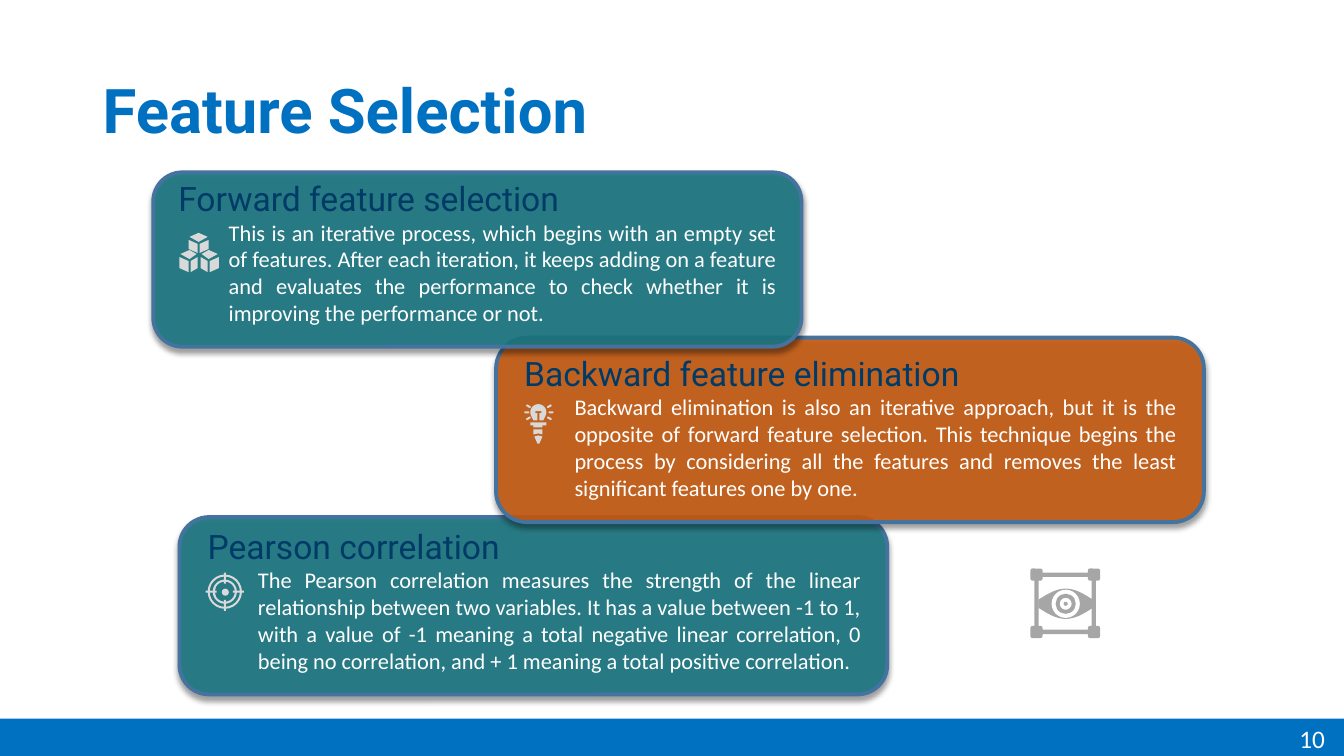
"""Build the Feature Selection slide."""
from math import cos, pi, radians, sin
from lxml import etree
from pptx import Presentation, util as u
from pptx.dml.color import RGBColor
from pptx.enum import shapes, text
from pptx.oxml import ns

form = shapes.MSO_SHAPE
side = text.PP_ALIGN
deck = Presentation()
deck.slide_width, deck.slide_height = u.Inches(13.33), u.Inches(7.5)
slide = deck.slides.add_slide(deck.slide_layouts[6])
tree = slide.shapes


def draw(kind, box, hue, alpha=None, card=False):
    """Add a preset shape in a box, or an outline when kind is a list of points."""
    if isinstance(kind, list):
        dots = [(u.Inches(x), u.Inches(y)) for x, y in kind]
        path = tree.build_freeform(*dots[0])
        path.add_line_segments(dots[1:])
        item = path.convert_to_shape()
    else:
        item = tree.add_shape(kind, *map(u.Inches, box))
    item.shadow.inherit = False
    item.fill.solid()
    item.fill.fore_color.rgb = RGBColor.from_string(hue)
    item.line.fill.background()
    props = item._element.spPr
    if alpha:
        tint = props.find(ns.qn("a:solidFill"))[0]
        etree.SubElement(tint, ns.qn("a:alpha"), val=str(alpha * 1000))
    if card:
        item.line.color.rgb = RGBColor.from_string("43739E")
        item.line.width = u.Pt(2.75)
        glow = etree.SubElement(props.find(ns.qn("a:effectLst")), ns.qn("a:outerShdw"),
                                blurRad=str(u.Pt(4)), dist=str(u.Pt(3)), dir="5400000",
                                algn="t", rotWithShape="0")
        black = etree.SubElement(glow, ns.qn("a:srgbClr"), val="000000")
        etree.SubElement(black, ns.qn("a:alpha"), val="40000")
    return item


def write(words, box=None, frame=None, size=16, font="Calibri", hue="FFFFFF",
          bold=False, align=side.JUSTIFY, space=None, indent=0):
    """Write a paragraph in a new box, or add it to a given frame."""
    if frame is None:
        frame = tree.add_textbox(*map(u.Inches, box)).text_frame
        frame.word_wrap = True
        para = frame.paragraphs[0]
    else:
        para = frame.add_paragraph()
    para.alignment = align
    para.line_spacing = space
    if indent:
        para.level = 1
        props = para._p.get_or_add_pPr()
        props.set("marL", str(u.Inches(indent)))
        props.set("indent", "0")
    run = para.add_run()
    run.text = words
    run.font.size, run.font.name, run.font.bold = u.Pt(size), font, bold
    run.font.color.rgb = RGBColor.from_string(hue)
    return frame


title = write("Feature Selection", (0.92, 0.4, 11.5, 1.45), size=44, font="Roboto",
              hue="0070C0", bold=True, align=side.LEFT, space=0.9)
title.vertical_anchor = text.MSO_ANCHOR.MIDDLE
draw(form.RECTANGLE, (0, 7.13, 13.33, 0.37), "0070C0")
write("10", (12.73, 7.13, 0.51, 0.4), size=18, align=side.RIGHT)

cards = [
    ("Pearson correlation",
     "The Pearson correlation measures the strength of the linear relationship between "
     "two variables. It has a value between -1 to 1, with a value of -1 meaning a total "
     "negative linear correlation, 0 being no correlation, and + 1 meaning a total "
     "positive correlation.",
     (1.78, 5.13, 7.02, 1.76), (1.96, 5.17, 6.68, 1.58), "1A7680"),
    ("Backward feature elimination",
     "Backward elimination is also an iterative approach, but it is the opposite of "
     "forward feature selection. This technique begins the process by considering all "
     "the features and removes the least significant features one by one.",
     (4.92, 3.35, 7.02, 1.83), (5.1, 3.45, 6.67, 1.58), "C55A11"),
    ("Forward feature selection",
     "This is an iterative process, which begins with an empty set of features. After "
     "each iteration, it keeps adding on a feature and evaluates the performance to "
     "check whether it is improving the performance or not.",
     (1.52, 1.71, 6.43, 1.73), (1.67, 1.72, 6.13, 1.58), "1A7680"),
]
for head, body, box, area, hue in cards:
    draw(form.ROUNDED_RECTANGLE, box, hue, alpha=90, card=True)
    frame = write(head, area, size=24, font="Roboto", hue="003B68")
    write(body, frame=frame, indent=0.5)

pale = "D9D9D9"
mid, row = 2.23, 5.87
for rad in (0.17, 0.12):
    ring = draw(form.DONUT, (mid - rad, row - rad, 2 * rad, 2 * rad), pale)
    ring.adjustments[0] = 0.01 / rad
draw(form.OVAL, (mid - 0.03, row - 0.03, 0.07, 0.07), pale)
for start in (-0.19, 0.08):
    draw(form.RECTANGLE, (mid + start, row - 0.01, 0.11, 0.02), pale)
    draw(form.RECTANGLE, (mid - 0.01, row + start, 0.02, 0.11), pale)

mid, row = 5.34, 4.09
for turn in (-30, 0, 30, 150, 180, 210):
    x, y = mid + 0.12 * cos(radians(turn)), row + 0.12 * sin(radians(turn))
    ray = draw(form.ROUNDED_RECTANGLE, (x - 0.02, y - 0.01, 0.05, 0.02), pale)
    ray.rotation = turn
    ray.adjustments[0] = 0.5
arc = [(mid + 0.08 * cos(radians(a)), row + 0.08 * sin(radians(a)))
       for a in range(150, 391, 15)]
slot = [(5.39, 4.17), (5.35, 4.17), (5.35, 4.1), (5.37, 4.1), (5.37, 4.08),
        (5.31, 4.08), (5.31, 4.1), (5.33, 4.1), (5.33, 4.17), (5.29, 4.17)]
draw(arc + slot, None, pale)
draw([(5.26, 4.19), (5.42, 4.19), (5.42, 4.22), (5.38, 4.22),
      (5.38, 4.24), (5.29, 4.24), (5.29, 4.22), (5.26, 4.22)], None, pale)
draw([(5.29, 4.26), (5.38, 4.26), (5.38, 4.31), (5.34, 4.3), (5.29, 4.31)], None, pale)
draw([(5.3, 4.33), (5.34, 4.32), (5.38, 4.33), (5.35, 4.4), (5.33, 4.4)], None, pale)

for x, y, left, right, deep in ((1.97, 2.31, 0.1, 0.1, 0.2),
                                (1.88, 2.48, 0.1, 0.08, 0.22),
                                (2.07, 2.48, 0.08, 0.1, 0.22)):
    draw([(x, y), (x + right - 0.01, y + 0.04), (x, y + 0.09),
          (x - left + 0.01, y + 0.04)], None, pale)
    for way, reach in ((-1, left), (1, right)):
        near, far = x + way * 0.01, x + way * reach
        draw([(near, y + 0.11), (far, y + 0.07), (far, y + deep - 0.04),
              (near, y + deep)], None, pale)

gray = "A6A6A6"
mid, row = 10.57, 5.99
frame = draw(form.FRAME, (10.26, 5.68, 0.61, 0.61), gray)
frame.adjustments[0] = 0.07
for x in (10.22, 10.79):
    for y in (5.64, 6.21):
        draw(form.ROUNDED_RECTANGLE, (x, y, 0.12, 0.12), gray)
steps = [i / 10 for i in range(-10, 11)]
lid = [(mid + 0.27 * t, row - 0.04 - 0.11 * cos(t * pi / 2)) for t in steps]
draw(lid + [(x, 2 * row - y) for x, y in reversed(lid)], None, gray)
draw(form.OVAL, (mid - 0.14, row - 0.14, 0.28, 0.28), "FFFFFF")
iris = draw(form.DONUT, (mid - 0.1, row - 0.1, 0.2, 0.2), gray)
iris.adjustments[0] = 0.2
draw(form.OVAL, (mid - 0.02, row - 0.02, 0.04, 0.04), gray)

deck.save("out.pptx")
